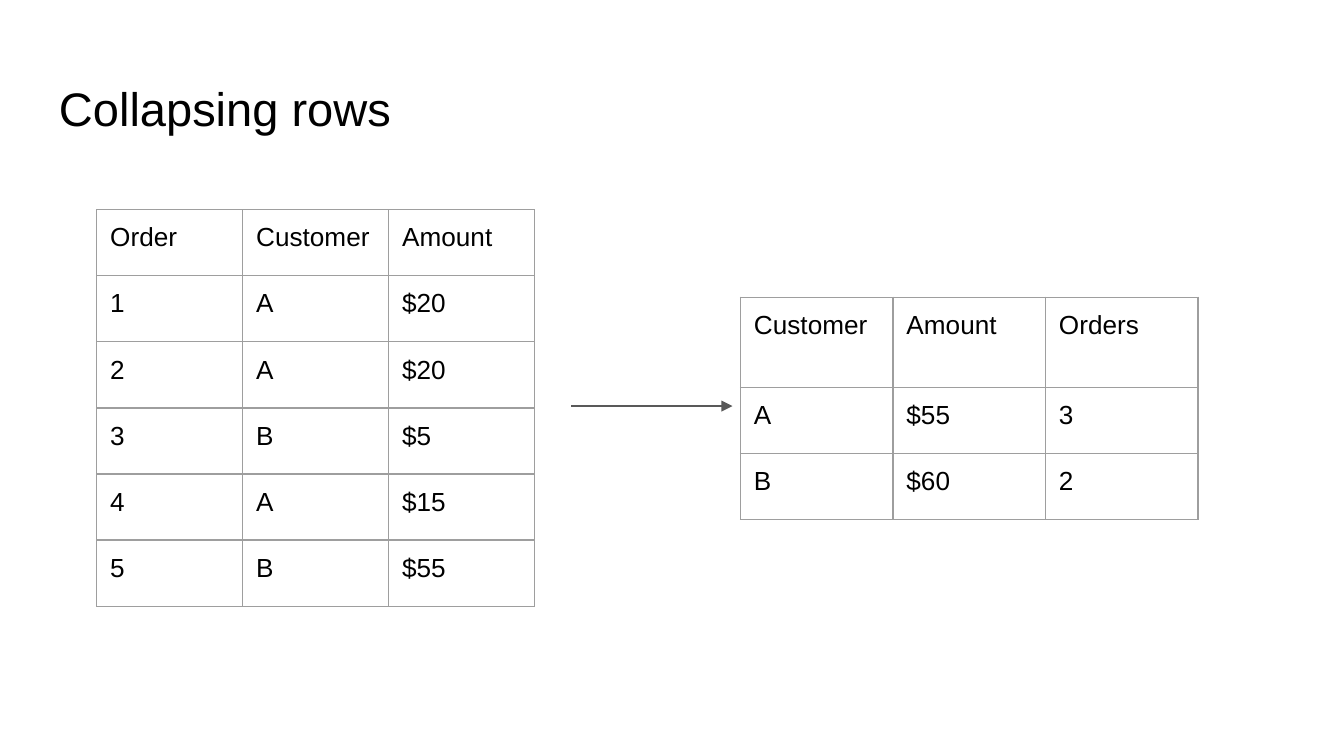
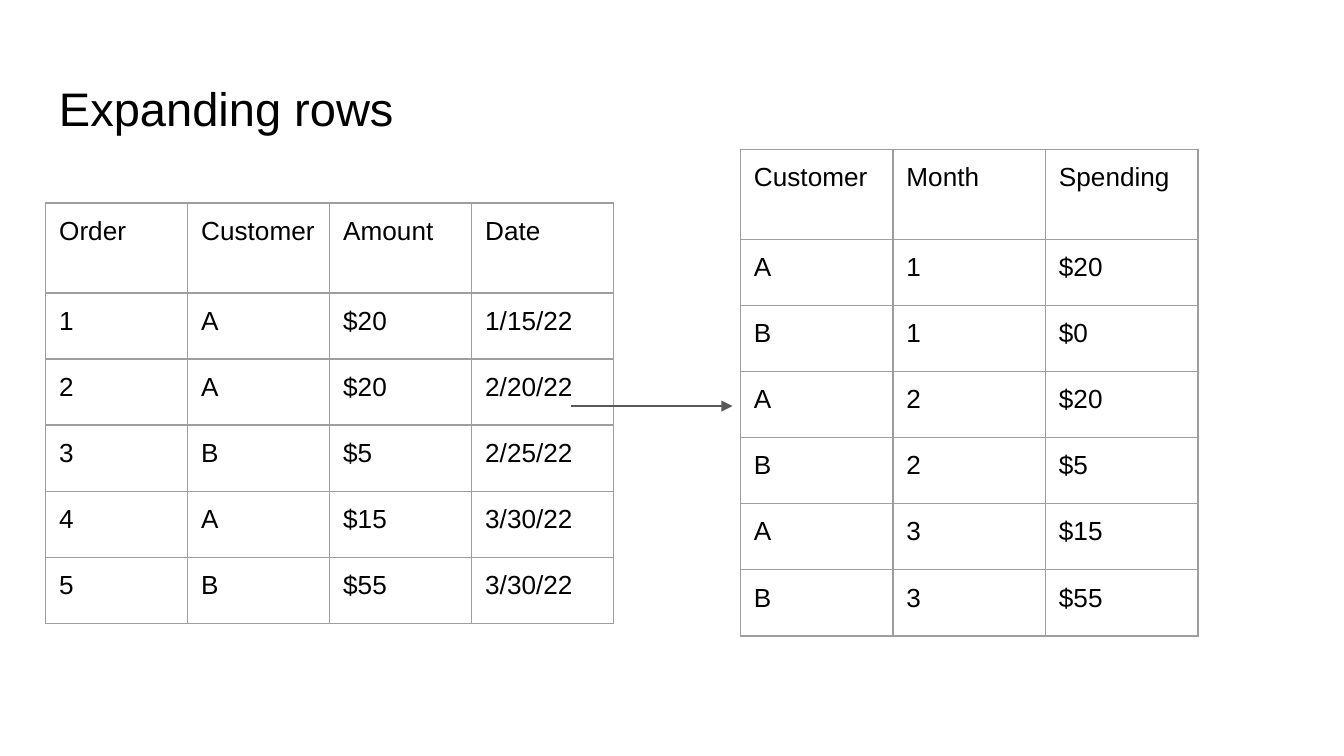
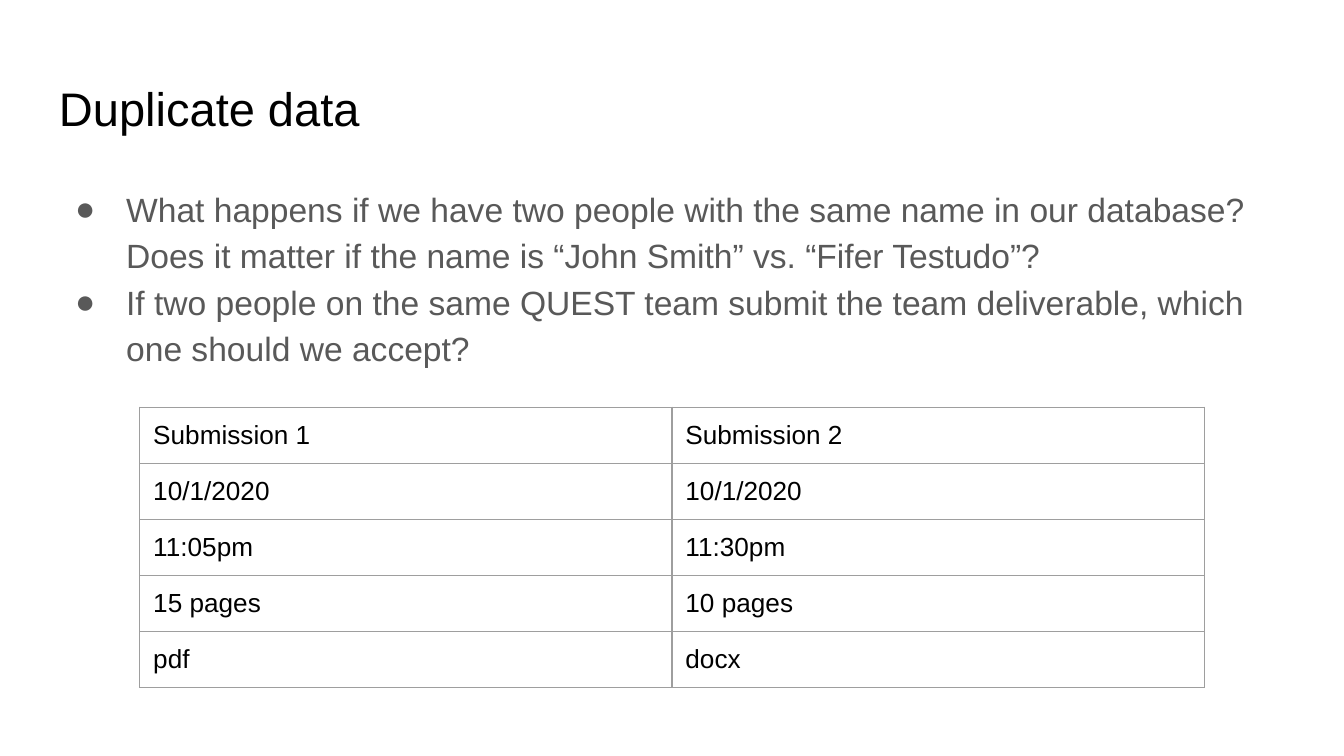
from lxml.etree import SubElement
from pptx import Presentation
from pptx.dml.color import RGBColor
from pptx.enum.shapes import MSO_CONNECTOR
from pptx.enum.text import MSO_ANCHOR
from pptx.oxml.ns import qn
from pptx.util import Inches, Pt

COLORS = {"ink": "000000", "body": "595959", "border": "9E9E9E"}
FONT = "Arial"
UNIT = 0.1  # one grid column or row, in inches
LINE_WIDTH = Pt(0.75)
HEADER_ROW, DATA_ROW = 6.7, 4.92
TABLE_FRAME = 32.8


def grid(count):
    return Inches(count * UNIT)


def write_text(frame, text, size=14, color="ink", bullet=None, spacing=None):
    """Fill a frame with one paragraph per line of text."""
    for index, line in enumerate(text.split("\n")):
        paragraph = frame.add_paragraph() if index else frame.paragraphs[0]
        if bullet:
            props = paragraph._p.get_or_add_pPr()
            props.set("marL", str(Inches(0.5)))
            props.set("indent", str(-Inches(0.38)))
            bullet_color = SubElement(props, qn("a:buClr"))
            SubElement(bullet_color, qn("a:srgbClr"), val=COLORS[color])
            SubElement(props, qn("a:buSzPts"), val=str(size * 100))
            SubElement(props, qn("a:buFont"), typeface=FONT)
            SubElement(props, qn("a:buChar"), char=bullet)
        if spacing:
            paragraph.line_spacing = spacing
        run = paragraph.add_run()
        run.text = line
        run.font.name = FONT
        run.font.size = Pt(size)
        run.font.color.rgb = RGBColor.from_string(COLORS[color])


class Deck:
    def __init__(self):
        self.file = Presentation()
        self.file.slide_width = Inches(10)
        self.file.slide_height = Inches(10) * 9 // 16
        self.slide = None

    def new_slide(self, title):
        self.slide = self.file.slides.add_slide(self.file.slide_layouts[6])
        self.text(title, 4.9, 6.3, anchor=MSO_ANCHOR.MIDDLE, size=25.2)

    def text(self, text, top, height, anchor=MSO_ANCHOR.TOP, **style):
        """Place a text box across the content width."""
        frame = self.slide.shapes.add_textbox(
            grid(3.4), grid(top), grid(93.2), grid(height)).text_frame
        frame.word_wrap = True
        frame.vertical_anchor = anchor
        frame.margin_left = frame.margin_right = grid(1)
        frame.margin_top = frame.margin_bottom = grid(1)
        write_text(frame, text, **style)

    def table(self, lines, left, top, column, header=HEADER_ROW, row=DATA_ROW):
        """Place a bordered table; each line holds cells parted by bars."""
        records = [line.split("|") for line in lines]
        heights = [header] + [row] * (len(records) - 1)
        holder = self.slide.shapes.add_table(
            len(records), len(records[0]), grid(left), grid(top),
            grid(TABLE_FRAME), grid(TABLE_FRAME))
        table = holder.table
        table.first_row = table.horz_banding = False
        for table_column in table.columns:
            table_column.width = grid(column)
        for table_row, height, record in zip(table.rows, heights, records):
            table_row.height = grid(height)
            for cell, value in zip(table_row.cells, record):
                self.cell(cell, value)
        # Resizing rows and columns changes the frame, so set it last
        holder.width = holder.height = grid(TABLE_FRAME)

    def cell(self, cell, value):
        cell.margin_left = cell.margin_right = cell.margin_top = grid(1)
        cell.margin_bottom = grid(0.8)
        props = cell._tc.get_or_add_tcPr()
        for side in ("lnL", "lnR", "lnT", "lnB"):
            edge = SubElement(props, qn(f"a:{side}"), w=str(LINE_WIDTH))
            fill = SubElement(edge, qn("a:solidFill"))
            SubElement(fill, qn("a:srgbClr"), val=COLORS["border"])
        cell.fill.background()
        write_text(cell.text_frame, value)

    def arrow(self):
        """Point from the source table to the result table."""
        arrow = self.slide.shapes.add_connector(
            MSO_CONNECTOR.STRAIGHT,
            grid(42.5), grid(30.22), grid(54.5), grid(30.22))
        arrow.line.width = LINE_WIDTH
        arrow.line.color.rgb = RGBColor.from_string(COLORS["body"])
        SubElement(arrow.line._get_or_add_ln(), qn("a:tailEnd"), type="triangle")
        SubElement(arrow._element.spPr, qn("a:effectLst"))

    def result(self, lines, top):
        self.table(lines, 55.1, top, 11.35)


def main():
    deck = Deck()

    # Orders summed up per customer
    deck.new_slide("Collapsing rows")
    deck.table(["Order|Customer|Amount", "1|A|$20", "2|A|$20", "3|B|$5",
                "4|A|$15", "5|B|$55"], 7.2, 15.6, 10.86, header=DATA_ROW)
    deck.arrow()
    deck.result(["Customer|Amount|Orders", "A|$55|3", "B|$60|2"], 22.12)

    # Orders spread over every customer and month
    deck.new_slide("Expanding rows")
    deck.table(["Order|Customer|Amount|Date", "1|A|$20|1/15/22",
                "2|A|$20|2/20/22", "3|B|$5|2/25/22", "4|A|$15|3/30/22",
                "5|B|$55|3/30/22"], 3.4, 15.1, 10.57)
    deck.arrow()
    deck.result(["Customer|Month|Spending", "A|1|$20", "B|1|$0", "A|2|$20",
                 "B|2|$5", "A|3|$15", "B|3|$55"], 11.12)

    # Questions and two competing submissions
    deck.new_slide("Duplicate data")
    deck.text("What happens if we have two people with the same name in our "
              "database? Does it matter if the name is “John Smith” vs. "
              "“Fifer Testudo”?\n"
              "If two people on the same QUEST team submit the team "
              "deliverable, which one should we accept?",
              12.6, 37.4, size=18, color="body", bullet="●", spacing=1.15)
    deck.table(["Submission 1|Submission 2", "10/1/2020|10/1/2020",
                "11:05pm|11:30pm", "15 pages|10 pages", "pdf|docx"],
               10.4, 30.3, 39.6, header=4.17, row=4.17)

    deck.file.save("out.pptx")


if __name__ == "__main__":
    main()
